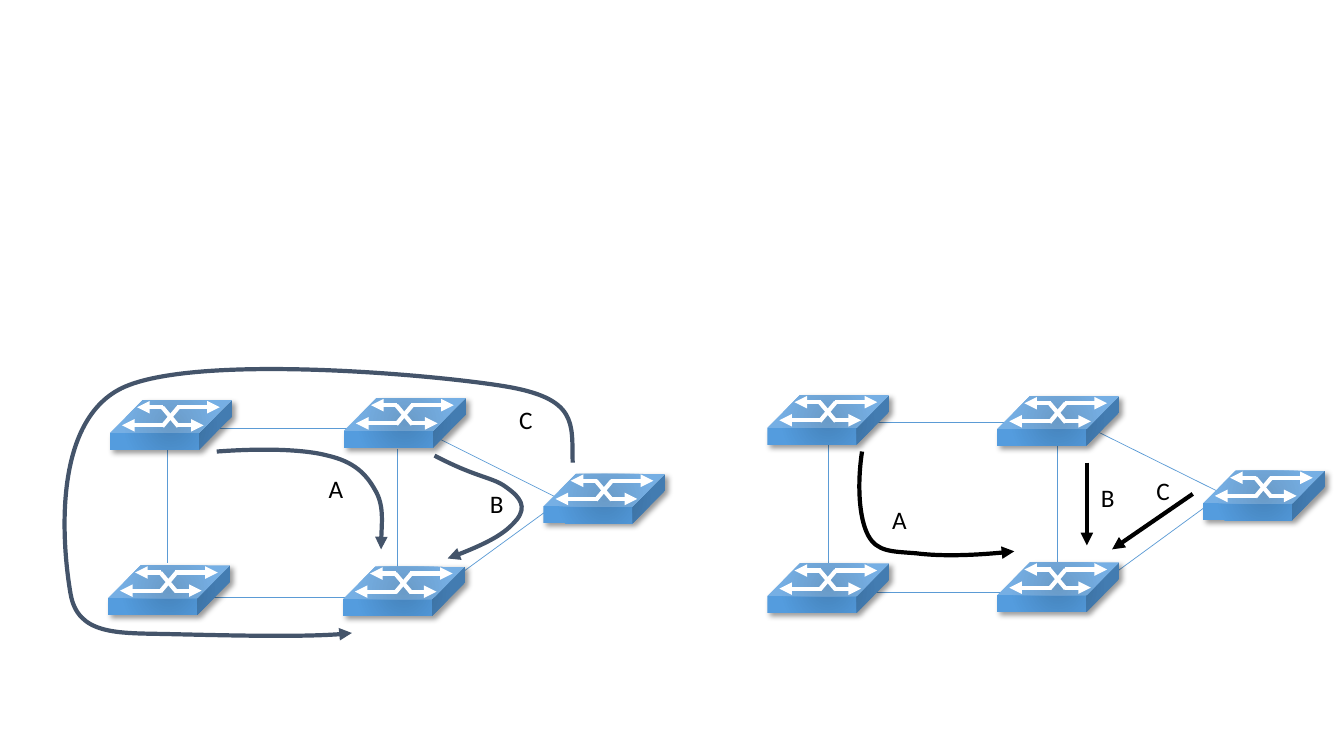
"""Build a slide comparing traffic paths A, B and C across two switch networks."""
from dataclasses import dataclass

from lxml.etree import SubElement
from pptx import Presentation
from pptx.dml.color import RGBColor
from pptx.enum.shapes import MSO_CONNECTOR as Link, MSO_SHAPE as Preset
from pptx.enum.text import MSO_AUTO_SIZE as AutoSize
from pptx.oxml import parse_xml
from pptx.oxml.ns import nsdecls, qn
from pptx.util import Inches, Pt


@dataclass(frozen=True)
class Theme:
    """Hold the colours, font and sizes of the slide."""
    link: str = "5B9BD5"
    route: str = "44546A"
    ink: str = "000000"
    glyph: str = "FFFFFF"
    cube_stops: tuple = ((0, "305C84"), (0, "4583BB"), (75, "549CDE"))
    font: str = "Calibri"
    label_size: int = 18
    thin: float = 0.5
    thick: float = 3


SWITCH_SIZE = (1.21, 0.49)
GLYPH_ARROWS = [
    ((0.67, 0.07), (1.09, 0.07)), ((0.67, 0.25), (0.93, 0.25)),
    ((0.53, 0.07), (0.27, 0.07)), ((0.53, 0.25), (0.12, 0.25)),
]
GLYPH_CROSS = [((0.52, 0.26), (0.68, 0.07)), ((0.68, 0.26), (0.52, 0.07))]

LEFT_NETWORK = {
    "links": [
        ((4.35, 5.85), (5.57, 4.96)), ((2.03, 5.93), (3.51, 5.93)),
        ((1.66, 4.45), (1.66, 5.59)), ((2.07, 4.25), (3.54, 4.25)),
        ((4.35, 4.35), (5.57, 4.96)), ((3.94, 4.45), (3.94, 5.77)),
    ],
    "curves": [
        ((2.15, 4.46, 1.63, 0.99), [
            (2.15, 4.48), (2.54, 4.45), (2.99, 4.45), (3.25, 4.52),
            (3.51, 4.58), (3.63, 4.7), (3.72, 4.86),
            (3.81, 5.01), (3.78, 5.28), (3.78, 5.45)]),
        ((4.31, 4.52, 0.87, 1.02), [
            (4.31, 4.52), (4.75, 4.75), (4.89, 4.73), (5.03, 4.84),
            (5.17, 4.94), (5.22, 5.03), (5.13, 5.15),
            (5.03, 5.27), (4.88, 5.38), (4.44, 5.54)]),
        ((0.64, 3.66, 5.04, 2.65), [
            (5.68, 4.59), (5.67, 4.2), (5.74, 3.95), (4.99, 3.83),
            (4.25, 3.71), (1.92, 3.51), (1.21, 3.85),
            (0.49, 4.2), (0.63, 5.49), (0.7, 5.89),
            (0.77, 6.3), (1.16, 6.28), (1.64, 6.29),
            (2.11, 6.3), (3.11, 6.33), (3.49, 6.28)]),
    ],
    "arrows": [],
    "labels": [("A", 3.16, 4.65, 0.35, False), ("C", 5.05, 3.96, 0.34, False),
               ("B", 4.76, 4.8, 0.34, False)],
    "switches": [(3.4, 5.62), (3.41, 3.95), (1.07, 5.61), (1.09, 3.97), (5.39, 4.7)],
}

RIGHT_NETWORK = {
    "links": [
        ((10.9, 5.8), (12.13, 4.9)), ((8.59, 5.88), (10.06, 5.88)),
        ((8.22, 4.4), (8.22, 5.69)), ((8.62, 4.19), (10.1, 4.19)),
        ((10.9, 4.29), (12.13, 4.9)), ((10.49, 4.4), (10.49, 5.69)),
    ],
    "curves": [
        ((8.52, 4.48, 1.54, 1.03), [
            (8.55, 4.48), (8.5, 4.81), (8.52, 5.14), (8.61, 5.31),
            (8.7, 5.48), (8.85, 5.47), (9.09, 5.49),
            (9.33, 5.52), (9.71, 5.51), (10.06, 5.47)]),
    ],
    "arrows": [((10.78, 4.59), (10.78, 5.41)), ((11.83, 4.9), (11.03, 5.45))],
    "labels": [("A", 8.75, 4.95, 0.28, True), ("C", 11.37, 4.67, 0.32, True),
               ("B", 10.82, 4.74, 0.34, False)],
    "switches": [(7.61, 3.92), (7.61, 5.59), (9.89, 5.58), (9.89, 3.93), (11.93, 4.67)],
}


def write_text(frame, text, font, size, color):
    """Write one formatted run into a text frame."""
    run = frame.paragraphs[0].add_run()
    run.text = text
    run.font.name = font
    run.font.size = Pt(size)
    run.font.color.rgb = RGBColor.from_string(color)


class NetworkSlide:
    """Draw network elements on one slide in one theme."""

    def __init__(self, slide, theme):
        """Keep the slide and its theme."""
        self.shapes = slide.shapes
        self.theme = theme

    def stroke(self, element, color, width, arrow):
        """Format an outline, with an optional arrowhead at its end."""
        element.line.color.rgb = RGBColor.from_string(color)
        element.line.width = Pt(width)
        if arrow:
            outline = element._element.spPr.find(qn("a:ln"))
            SubElement(outline, qn("a:tailEnd"), type="triangle")

    def line(self, start, end, color, width, arrow=False, shapes=None):
        """Draw a straight line on the slide or in a group."""
        connector = (shapes or self.shapes).add_connector(
            Link.STRAIGHT, *map(Inches, (*start, *end)))
        self.stroke(connector, color, width, arrow)
        SubElement(connector._element.spPr, qn("a:effectLst"))

    def curve(self, box, points, color):
        """Draw a Bezier route with an arrowhead, framed by its visible box."""
        start, *controls = [tuple(map(Inches, point)) for point in points]
        builder = self.shapes.build_freeform(*start)
        builder.add_line_segments(controls, close=False)
        route = builder.convert_to_shape()
        left, top, width, height = map(Inches, box)
        shift_x, shift_y = left - route.left, top - route.top
        outline = next(route._element.iter(qn("a:path")))
        for point in outline.iter(qn("a:pt")):
            point.set("x", str(int(point.get("x")) - shift_x))
            point.set("y", str(int(point.get("y")) - shift_y))
        outline.set("w", str(width))
        outline.set("h", str(height))
        segments = outline.findall(qn("a:lnTo"))
        for first in range(0, len(segments), 3):
            bezier = SubElement(outline, qn("a:cubicBezTo"))
            for segment in segments[first:first + 3]:
                bezier.append(segment[0])
                outline.remove(segment)
        route.left, route.top, route.width, route.height = left, top, width, height
        route.fill.background()
        self.stroke(route, color, self.theme.thick, True)
        route.shadow.inherit = False

    def label(self, text, left, top, width, wrap):
        """Place a route letter."""
        frame = self.shapes.add_textbox(*map(Inches, (left, top, width, 0.4))).text_frame
        frame.word_wrap = wrap
        frame.auto_size = AutoSize.SHAPE_TO_FIT_TEXT
        write_text(frame, text, font=self.theme.font,
                   size=self.theme.label_size, color=self.theme.ink)

    def switch(self, left, top):
        """Draw a grouped switch: a shaded cube with crossing arrows."""
        shapes = self.shapes.add_group_shape().shapes
        cube = shapes.add_shape(Preset.CUBE, *map(Inches, (left, top, *SWITCH_SIZE)))
        cube.adjustments[0] = 0.662
        cube.line.fill.background()
        cube.fill.gradient()
        properties = cube._element.spPr
        stops = "".join(
            f'<a:gs pos="{position * 1000}"><a:srgbClr val="{color}"/></a:gs>'
            for position, color in self.theme.cube_stops)
        properties.replace(properties.find(qn("a:gradFill")), parse_xml(
            f'<a:gradFill {nsdecls("a")} rotWithShape="1"><a:gsLst>{stops}</a:gsLst>'
            '<a:path path="circle"><a:fillToRect l="50000" t="50000" r="50000" b="50000"/>'
            '</a:path></a:gradFill>'))
        cube.shadow.inherit = False
        properties.find(qn("a:effectLst")).append(parse_xml(
            f'<a:outerShdw {nsdecls("a")} blurRad="{Pt(4)}" dist="{Pt(3)}" dir="2700000" '
            f'algn="tl" rotWithShape="0"><a:srgbClr val="{self.theme.ink}">'
            '<a:alpha val="40000"/></a:srgbClr></a:outerShdw>'))
        for strokes, arrow in ((GLYPH_ARROWS, True), (GLYPH_CROSS, False)):
            for ends in strokes:
                start, end = [(left + x, top + y) for x, y in ends]
                self.line(start, end, self.theme.glyph, self.theme.thick, arrow, shapes)

    def network(self, parts, route_color):
        """Draw the links, routes, labels and switches of a network."""
        for start, end in parts["links"]:
            self.line(start, end, self.theme.link, self.theme.thin)
        for box, points in parts["curves"]:
            self.curve(box, points, route_color)
        for start, end in parts["arrows"]:
            self.line(start, end, route_color, self.theme.thick, arrow=True)
        for label in parts["labels"]:
            self.label(*label)
        for position in parts["switches"]:
            self.switch(*position)


def main():
    """Build and save the presentation."""
    deck = Presentation()
    deck.slide_width, deck.slide_height = Inches(13.33), Inches(7.5)
    theme = Theme()
    page = NetworkSlide(deck.slides.add_slide(deck.slide_layouts[6]), theme)
    page.network(LEFT_NETWORK, theme.route)
    page.network(RIGHT_NETWORK, theme.ink)
    deck.save("out.pptx")


if __name__ == "__main__":
    main()
